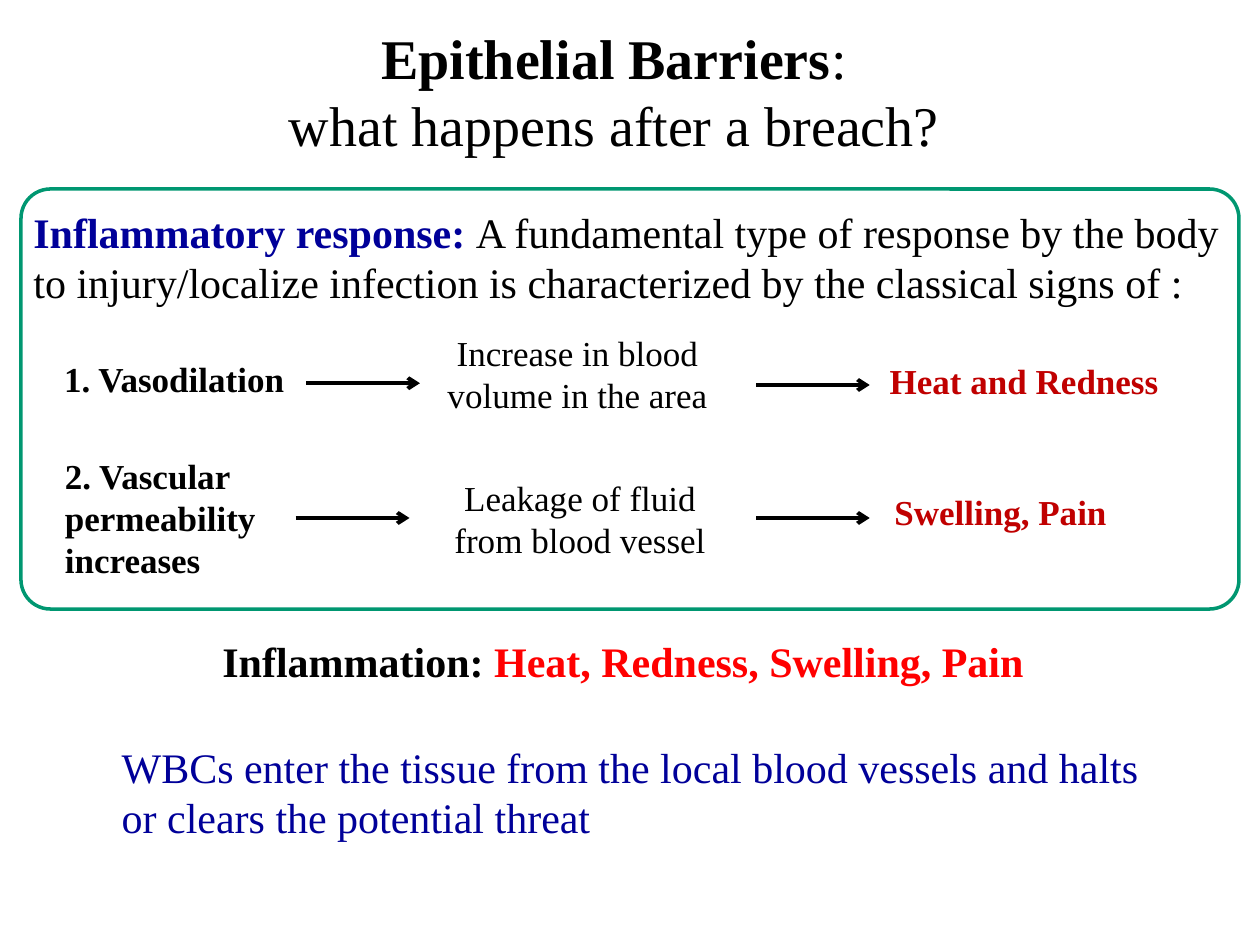
"""Build a slide on epithelial barriers and the inflammatory response."""
import pptx
import pptx.util
import pptx.dml.color
import pptx.enum.shapes
import pptx.enum.text
import pptx.oxml
import pptx.oxml.ns

Pt = pptx.util.Pt
RGB = pptx.dml.color.RGBColor
ALIGN = pptx.enum.text.PP_ALIGN
ANCHOR = pptx.enum.text.MSO_ANCHOR
BLACK = RGB(0x00, 0x00, 0x00)
NAVY = RGB(0x00, 0x00, 0x99)
DARK_RED = RGB(0xC0, 0x00, 0x00)
RED = RGB(0xFF, 0x00, 0x00)
GREEN = RGB(0x00, 0x97, 0x71)
FONT = "Times New Roman"


def add_run(p, text, size=20, color=BLACK, bold=False):
    r = p.add_run()
    r.text = text
    r.font.name = FONT
    r.font.size = Pt(size)
    r.font.color.rgb = color
    r.font.bold = bold


def add_box(left, top, width, height, align=ALIGN.LEFT, wrap=True, margin=7.2):
    tf = s.shapes.add_textbox(Pt(left), Pt(top), Pt(width), Pt(height)).text_frame
    tf.word_wrap = wrap
    tf.margin_left = tf.margin_right = Pt(margin)
    p = tf.paragraphs[0]
    p.alignment = align
    return p


prs = pptx.Presentation()
prs.slide_width, prs.slide_height = Pt(720), Pt(540)
s = prs.slides.add_slide(prs.slide_layouts[5])

title = s.shapes.title
title.left, title.top, title.width, title.height = Pt(66), Pt(24), Pt(570), Pt(90)
tf = title.text_frame
tf.word_wrap = True
tf.auto_size = pptx.enum.text.MSO_AUTO_SIZE.NONE
tf.vertical_anchor = ANCHOR.MIDDLE
tf.margin_bottom = Pt(38)
p = tf.paragraphs[0]
p.alignment = ALIGN.CENTER
add_run(p, "Epithelial Barriers", size=32, bold=True)
add_run(p, ":", size=32)
p.add_line_break()
add_run(p, "what happens after a breach?", size=32)

p = add_box(12, 114.5, 696, 65.5)
add_run(p, "Inflammatory response: ", size=24, color=NAVY, bold=True)
add_run(p, "A fundamental type of response by the body to injury/localize "
        "infection is characterized by the classical signs of :", size=24)

p = add_box(29.5, 201, 146, 31.5, wrap=False)
add_run(p, "1. Vasodilation", bold=True)
p = add_box(222, 186, 216, 55.5, align=ALIGN.CENTER, margin=25)
add_run(p, "Increase in blood volume in the area")
p = add_box(498, 202, 174.5, 31.5, align=ALIGN.CENTER)
add_run(p, "Heat and Redness", color=DARK_RED, bold=True)

p = add_box(30, 256, 138, 80)
add_run(p, "2. Vascular permeability increases", bold=True)
p = add_box(237.5, 268.5, 188, 55.5, align=ALIGN.CENTER)
add_run(p, "Leakage of fluid from blood vessel")
p = add_box(504, 277, 137, 31.5, wrap=False)
add_run(p, "Swelling, Pain", color=DARK_RED, bold=True)

for left, y in [(175, 219), (432, 220), (169, 296), (432, 296)]:
    arrow = s.shapes.add_connector(
        pptx.enum.shapes.MSO_CONNECTOR.STRAIGHT, Pt(left), Pt(y), Pt(left + 65), Pt(y))
    arrow.line.color.rgb = BLACK
    arrow.line.width = Pt(2.25)
    tail = pptx.oxml.parse_xml(
        f'<a:tailEnd {pptx.oxml.ns.nsdecls("a")} type="arrow"/>')
    arrow.line._get_or_add_ln().append(tail)
    arrow._element.spPr.append(
        pptx.oxml.parse_xml(f'<a:effectLst {pptx.oxml.ns.nsdecls("a")}/>'))

p = add_box(120, 359.5, 476.5, 36.5, wrap=False)
add_run(p, "Inflammation: ", size=24, bold=True)
add_run(p, "Heat, Redness, Swelling, Pain", size=24, color=RED, bold=True)

p = add_box(62.5, 420, 603.5, 65.5)
add_run(p, "WBCs enter the tissue from the local blood vessels and halts "
        "or clears the potential threat", size=24, color=NAVY)

frame = s.shapes.add_shape(
    pptx.enum.shapes.MSO_SHAPE.ROUNDED_RECTANGLE, Pt(12), Pt(108), Pt(696), Pt(240))
frame.adjustments[0] = 0.07
frame.fill.background()
frame.line.color.rgb = GREEN
frame.line.width = Pt(2)
frame.shadow.inherit = False

prs.save("out.pptx")
